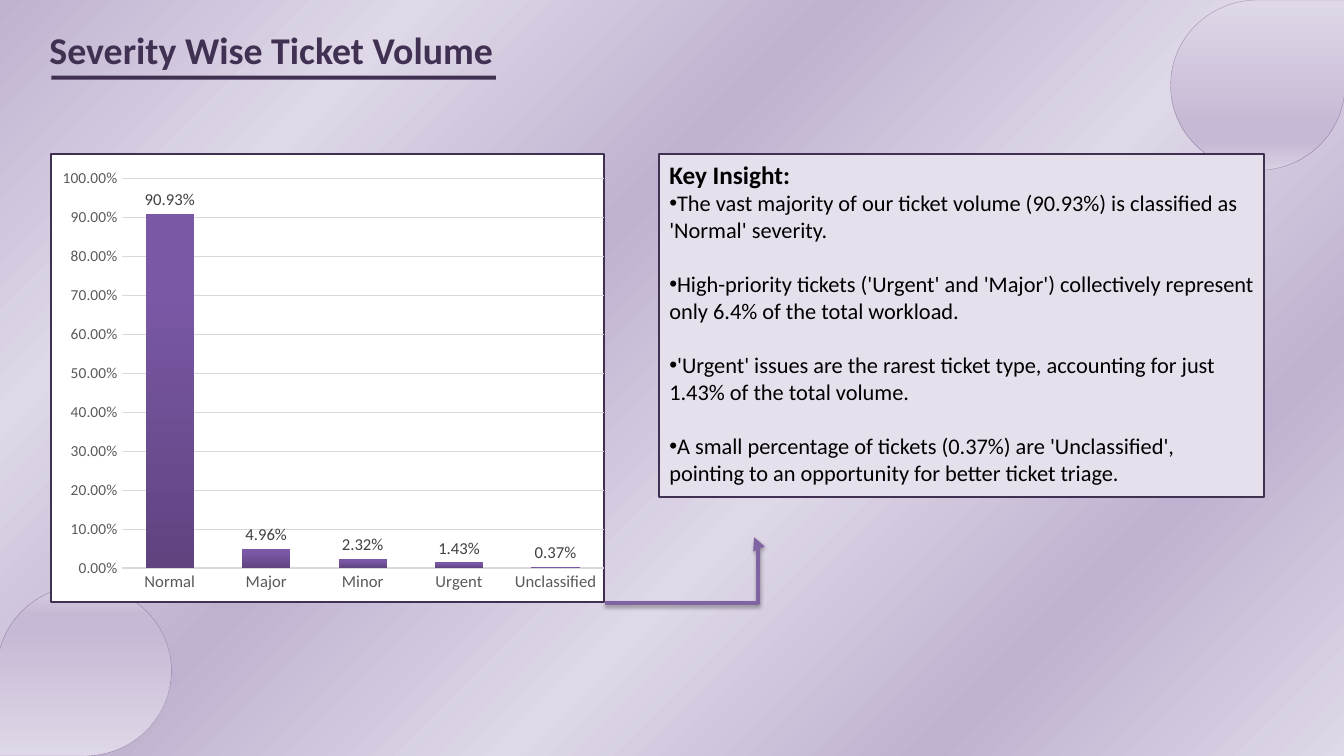
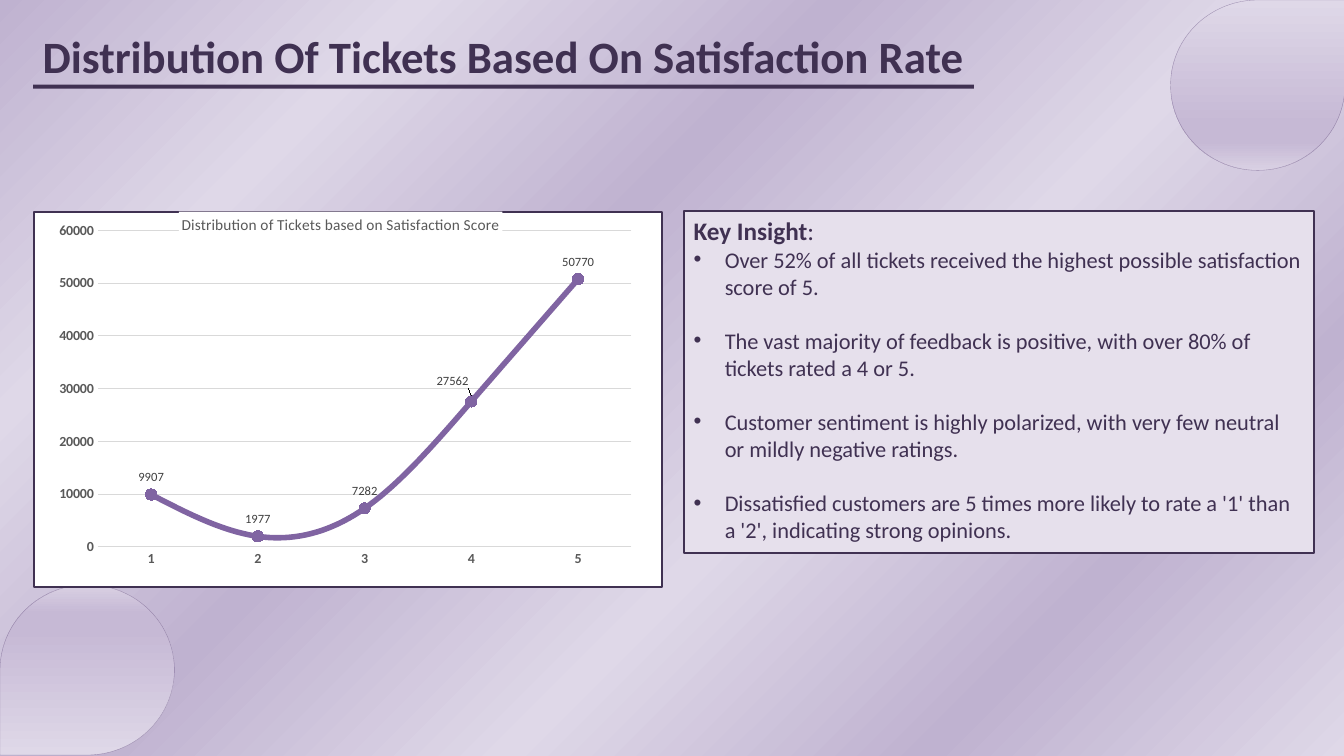
from lxml.etree import SubElement
from pptx import Presentation
from pptx.chart.data import CategoryChartData
from pptx.dml.color import RGBColor
from pptx.enum.chart import XL_CHART_TYPE as ChartType
from pptx.enum.chart import XL_LABEL_POSITION as LabelPosition
from pptx.enum.chart import XL_MARKER_STYLE as Marker
from pptx.enum.chart import XL_TICK_MARK as Tick
from pptx.enum.shapes import MSO_CONNECTOR as Connector
from pptx.enum.shapes import MSO_SHAPE as Preset
from pptx.enum.text import MSO_ANCHOR as Anchor
from pptx.enum.text import PP_ALIGN as Align
from pptx.oxml.ns import qn
from pptx.util import Inches, Pt

FONT = "Calibri"
INK = RGBColor(0x40, 0x31, 0x52)
BLACK = RGBColor(0, 0, 0)
WHITE = RGBColor(0xFF, 0xFF, 0xFF)
PANEL = RGBColor(0xE6, 0xE0, 0xEC)
VIOLET = RGBColor(0x80, 0x64, 0xA2)
MARKER = RGBColor(0x7B, 0x58, 0xA6)
DROP_EDGE = RGBColor(0x60, 0x4A, 0x7B)
AXIS_TEXT = RGBColor(0x59, 0x59, 0x59)
LABEL_TEXT = RGBColor(0x40, 0x40, 0x40)
GRID = RGBColor(0xD9, 0xD9, 0xD9)
MAUVE = RGBColor(0xBF, 0xB2, 0xD0)
MIST = RGBColor(0xDF, 0xD8, 0xE8)
LILAC = RGBColor(0xC6, 0xB9, 0xD5)
PALE = RGBColor(0xD9, 0xD0, 0xE3)
BAR_BASE = RGBColor(0x5F, 0x44, 0x80)
BAR_TOP = RGBColor(0x7C, 0x57, 0xA8)

BACKDROP = [(20 * i, MIST if i % 2 else MAUVE) for i in range(6)]
DROP_FILL = [(0, MIST), (74, LILAC), (83, LILAC), (100, PALE)]
BAR_FILL = [(0, BAR_BASE), (80, MARKER), (100, BAR_TOP)]


def add(parent, tag, **attributes):
    return SubElement(parent, qn(tag), {k: str(v) for k, v in attributes.items()})


def paint_gradient(fill, root, stops, angle):
    fill.gradient()
    gradient = next(root.iter(qn("a:gradFill")))
    for child in list(gradient):
        gradient.remove(child)
    gradient.set("rotWithShape", "1")
    stop_list = add(gradient, "a:gsLst")
    for position, color in stops:
        stop = add(stop_list, "a:gs", pos=position * 1000)
        add(stop, "a:srgbClr", val=color)
    add(gradient, "a:lin", ang=angle * 60000, scaled=0)


def place(holder, **settings):
    layout = holder.find(qn("c:layout"))
    if layout is None:
        layout = add(holder, "c:layout")
        leading = sum(child.tag in (qn("c:idx"), qn("c:tx")) for child in holder)
        holder.insert(leading, layout)
    manual = add(layout, "c:manualLayout")
    for name, value in settings.items():
        add(manual, f"c:{name}", val=value)


def style_font(font, size, color, bold=False):
    font.name, font.size, font.bold = FONT, Pt(size), bold
    font.color.rgb = color


def style_line(line, color, width):
    line.color.rgb = color
    line.width = Pt(width)


class Deck:
    def __init__(self):
        self.presentation = Presentation()
        self.presentation.slide_width = Inches(13.33)
        self.presentation.slide_height = Inches(7.5)
        self.slide = None

    def new_slide(self, drop_left, drop_top):
        layout = self.presentation.slide_layouts[6]
        self.slide = self.presentation.slides.add_slide(layout)
        paint_gradient(self.slide.background.fill, self.slide.element, BACKDROP, 45)
        self.drop(11.61, 0)
        self.drop(drop_left, drop_top, 180)

    def shape(self, preset, left, top, width, height):
        shape = self.slide.shapes.add_shape(
            preset, Inches(left), Inches(top), Inches(width), Inches(height))
        shape.shadow.inherit = False
        return shape

    def drop(self, left, top, rotation=0):
        drop = self.shape(Preset.TEAR, left, top, 1.73, 1.69)
        drop.rotation = rotation
        paint_gradient(drop.fill, drop.element, DROP_FILL, 90)
        style_line(drop.line, DROP_EDGE, 0.25)
        edge = next(drop.element.iter(qn("a:ln")))
        add(next(edge.iter(qn("a:srgbClr"))), "a:alpha", val=50000)

    def title(self, text, box, size, rule, space_before=0):
        frame = self.slide.shapes.add_textbox(*map(Inches, box)).text_frame
        frame.word_wrap = True
        frame.margin_left = frame.margin_right = frame.margin_bottom = 0
        frame.margin_top = Inches(0.01)
        heading = frame.paragraphs[0]
        heading.text = text
        heading.alignment = Align.CENTER
        heading.space_before = Pt(space_before)
        style_font(heading.font, size, INK, True)
        underline = self.shape(Preset.RECTANGLE, *rule, 0.04)
        underline.fill.solid()
        underline.fill.fore_color.rgb = INK
        underline.line.fill.background()

    def insight(self, box, points, color, hang=0, bold_colon=True):
        panel = self.shape(Preset.RECTANGLE, *box)
        panel.fill.solid()
        panel.fill.fore_color.rgb = PANEL
        style_line(panel.line, INK, 1.5)
        frame = panel.text_frame
        frame.word_wrap = True
        frame.vertical_anchor = Anchor.TOP
        heading = frame.paragraphs[0]
        heading.alignment = Align.LEFT
        style_font(heading.font, 18, color, True)
        heading.add_run().text = "Key Insight"
        colon = heading.add_run()
        colon.text = ":"
        colon.font.bold = bold_colon
        for index, text in enumerate(points):
            point = frame.add_paragraph()
            point.text = text
            point.alignment = Align.LEFT
            point.space_before = Pt(19.5 if index else 0)
            style_font(point.font, 16, color)
            properties = point._p.get_or_add_pPr()
            properties.set("marL", str(Inches(hang)))
            properties.set("indent", str(-Inches(hang)))
            bullet_font = add(properties, "a:buFont", typeface="Arial")
            bullet = add(properties, "a:buChar", char="•")
            default_font = properties.find(qn("a:defRPr"))
            default_font.addprevious(bullet_font)
            default_font.addprevious(bullet)

    def chart(self, kind, box, plot_area, values, number_format, top_value,
              steps, sizes, bold=False):
        data = CategoryChartData(number_format=number_format)
        data.categories = values.keys()
        data.add_series("Series 1", values.values())
        chart = self.slide.shapes.add_chart(kind, *map(Inches, box), data).chart
        chart.has_legend = chart.has_title = False
        style_font(chart.font, 10, BLACK)
        category_size, value_size, label_size = sizes

        for axis, size in ((chart.category_axis, category_size),
                           (chart.value_axis, value_size)):
            axis.major_tick_mark = axis.minor_tick_mark = Tick.NONE
            style_font(axis.tick_labels.font, size, AXIS_TEXT, bold)
        chart.category_axis.has_major_gridlines = False
        style_line(chart.category_axis.format.line, GRID, 1)
        scale = chart.value_axis
        scale.format.line.fill.background()
        scale.minimum_scale, scale.maximum_scale = 0, top_value
        scale.major_unit = top_value / steps
        scale.has_major_gridlines = True
        style_line(scale.major_gridlines.format.line, GRID, 0.75)
        scale.tick_labels.number_format = number_format
        scale.tick_labels.number_format_is_linked = False

        plot = chart.plots[0]
        plot.vary_by_categories = False
        labels = plot.series[0].data_labels
        labels.show_value = True
        labels.number_format = number_format
        labels.number_format_is_linked = False
        style_font(labels.font, label_size, LABEL_TEXT)

        root = chart.element
        x, y, w, h = plot_area
        place(next(root.iter(qn("c:plotArea"))), layoutTarget="inner",
              xMode="edge", yMode="edge", x=x, y=y, w=w, h=h)
        area = add(root, "c:spPr")
        add(add(area, "a:solidFill"), "a:srgbClr", val=WHITE)
        border = add(area, "a:ln", w=Pt(1.5))
        add(add(border, "a:solidFill"), "a:srgbClr", val=INK)
        root.find(qn("c:chart")).addnext(area)
        return chart

    def columns(self, box, plot_area, values):
        chart = self.chart(ChartType.COLUMN_CLUSTERED, box, plot_area, values,
                           "0.00%", 1, 10, (12, 11, 12))
        plot = chart.plots[0]
        plot.gap_width, plot.overlap = 100, -24
        severity = plot.series[0]
        severity.data_labels.position = LabelPosition.OUTSIDE_END
        paint_gradient(severity.format.fill, chart.element, BAR_FILL, 270)

    def curve(self, box, plot_area, values, caption):
        chart = self.chart(ChartType.LINE_MARKERS, box, plot_area, values,
                           "0", 60000, 6, (10, 10, 9), True)
        scores = chart.plots[0].series[0]
        scores.smooth = True
        style_line(scores.format.line, VIOLET, 4)
        scores.marker.style, scores.marker.size = Marker.CIRCLE, 8
        scores.marker.format.fill.solid()
        scores.marker.format.fill.fore_color.rgb = MARKER
        style_line(scores.marker.format.line, VIOLET, 0.75)
        scores.data_labels.position = LabelPosition.ABOVE
        shifted = scores.points[3].data_label
        shifted.position = LabelPosition.ABOVE
        style_font(shifted.font, 9, LABEL_TEXT)
        place(next(chart.element.iter(qn("c:dLbl"))), x=-0.03, y=-0.01)

        chart.has_title = True
        heading = chart.chart_title
        heading.text_frame.text = caption
        style_font(heading.text_frame.paragraphs[0].font, 11, AXIS_TEXT)
        heading.format.fill.solid()
        heading.format.fill.fore_color.rgb = WHITE
        place(next(chart.element.iter(qn("c:title"))),
              xMode="edge", yMode="edge", x=0.23, y=0)

    def elbow_arrow(self, start, end, bend):
        arrow = self.slide.shapes.add_connector(
            Connector.ELBOW, *map(Inches, start + end))
        style_line(arrow.line, VIOLET, 3)
        properties = arrow.element.spPr
        guides = next(properties.iter(qn("a:avLst")))
        add(guides, "a:gd", name="adj1", fmla=f"val {bend}")
        add(properties.find(qn("a:ln")), "a:tailEnd", type="triangle")
        shadow = add(add(properties, "a:effectLst"), "a:outerShdw",
                     blurRad=Pt(3.1), dist=Pt(1.8), dir=5400000, rotWithShape=0)
        add(add(shadow, "a:srgbClr", val=BLACK), "a:alpha", val=35000)


def main():
    deck = Deck()

    deck.new_slide(-0.03, 5.81)
    deck.title("Severity Wise Ticket Volume", (0.03, 0.26, 5.32, 0.47), 27,
               (0.51, 0.75, 4.41))
    deck.columns((0.5, 1.52, 5.5, 4.46), (0.127, 0.054, 0.873, 0.871),
                 {"Normal": 0.9093, "Major": 0.0496, "Minor": 0.0232,
                  "Urgent": 0.0143, "Unclassified": 0.0037})
    deck.insight((6.54, 1.53, 6, 3.4), [
        "The vast majority of our ticket volume (90.93%) is classified as "
        "'Normal' severity.",
        "High-priority tickets ('Urgent' and 'Major') collectively represent "
        "only 6.4% of the total workload.",
        "'Urgent' issues are the rarest ticket type, accounting for just "
        "1.43% of the total volume.",
        "A small percentage of tickets (0.37%) are 'Unclassified', pointing "
        "to an opportunity for better ticket triage.",
    ], BLACK)
    deck.elbow_arrow((6, 5.98), (7.48, 5.33), 102500)

    deck.new_slide(0, 5.8)
    deck.title("Distribution Of Tickets Based On Satisfaction Rate",
               (0.33, 0.27, 9.33, 0.55), 32, (0.33, 0.84, 9.33), 1)
    deck.curve((0.33, 2.09, 6.25, 3.74), (0.101, 0.05, 0.85, 0.844),
               {"1": 9907, "2": 1977, "3": 7282, "4": 27562, "5": 50770},
               "Distribution of Tickets based on Satisfaction Score")
    deck.insight((6.78, 2.09, 6.25, 3.4), [
        "Over 52% of all tickets received the highest possible satisfaction "
        "score of 5.",
        "The vast majority of feedback is positive, with over 80% of tickets "
        "rated a 4 or 5.",
        "Customer sentiment is highly polarized, with very few neutral or "
        "mildly negative ratings.",
        "Dissatisfied customers are 5 times more likely to rate a '1' than "
        "a '2', indicating strong opinions.",
    ], INK, 0.31, False)

    deck.presentation.save("out.pptx")


if __name__ == "__main__":
    main()
